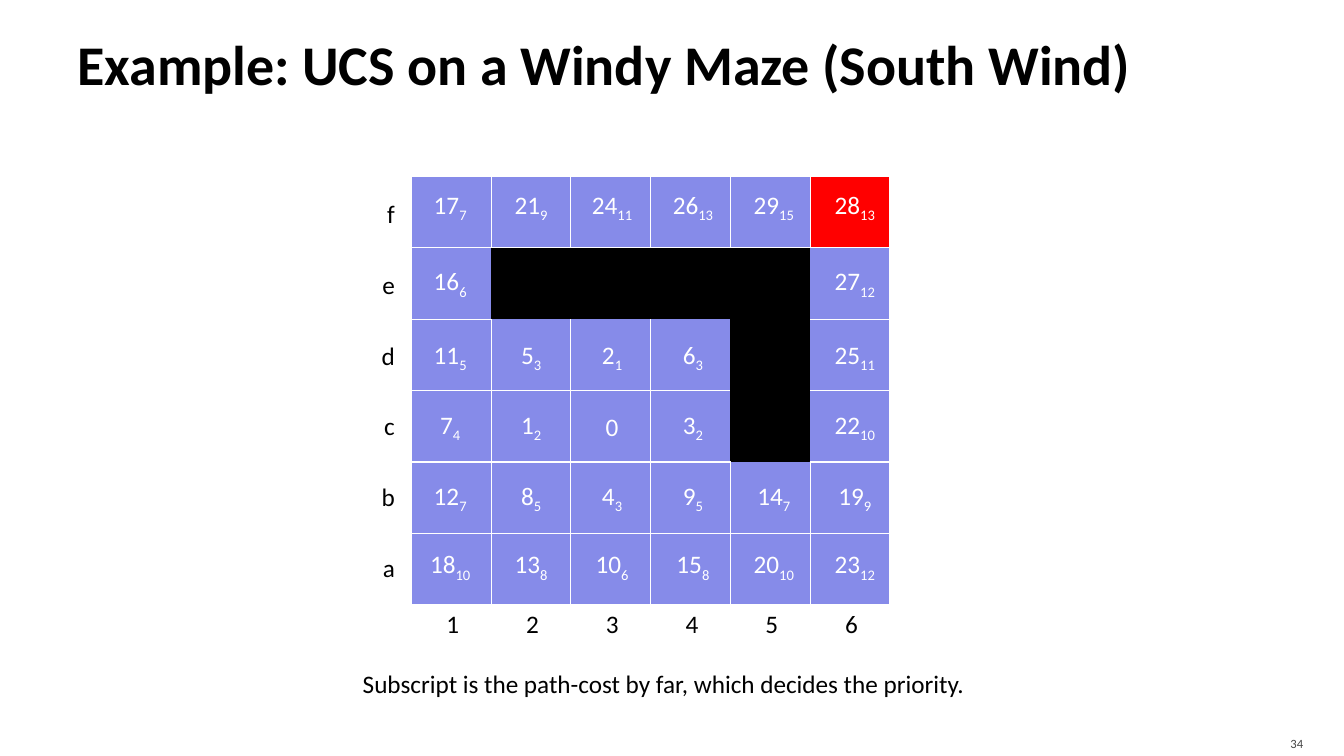
from dataclasses import dataclass

from lxml.etree import SubElement
from pptx import Presentation
from pptx.dml.color import RGBColor
from pptx.enum.shapes import MSO_SHAPE
from pptx.enum.text import MSO_ANCHOR, MSO_AUTO_SIZE, PP_ALIGN
from pptx.oxml.ns import qn
from pptx.util import Pt


@dataclass(frozen=True)
class Theme:
    font: str = "Calibri"
    ink: str = "000000"
    paper: str = "FFFFFF"
    open_cell: str = "868BE9"
    wall: str = "000000"
    goal: str = "FF0000"
    page_number: str = "454545"
    title_size: int = 40
    body_size: int = 18
    number_size: int = 9


THEME = Theme()
WALL = "#"
GOAL = (0, 5)
ROW_NAMES = "fedcba"
COLUMN_NAMES = "123456"
MAZE = [
    ["17_7", "21_9", "24_11", "26_13", "29_15", "28_13"],
    ["16_6", WALL, WALL, WALL, WALL, "27_12"],
    ["11_5", "5_3", "2_1", "6_3", WALL, "25_11"],
    ["7_4", "1_2", "0", "3_2", WALL, "22_10"],
    ["12_7", "8_5", "4_3", "9_5", "14_7", "19_9"],
    ["18_10", "13_8", "10_6", "15_8", "20_10", "23_12"],
]
MAZE_LEFT, MAZE_TOP = 293.8, 126
CELL_WIDTH, CELL_HEIGHT = 57, 51
STEP_SIZE = 30.2
STEP_LEFT, STEP_PITCH = 306.5, 57.8
STEP_TOPS = [132.2, 187, 239.3, 289.5, 340, 389]
LABEL_WIDTH, LABEL_HEIGHT = 24, 28.8
ROW_LABEL_TOP, ROW_LABEL_PITCH = 138.3, 50.5
NEIGHBOURS = {"a:lnL": (0, -1), "a:lnR": (0, 1), "a:lnT": (-1, 0), "a:lnB": (1, 0)}
PLAIN_TABLE_STYLE = "{2D5ABB26-0587-4C30-8999-92F81FD0307C}"


def style_run(run, size, color, bold=False):
    run.font.name = THEME.font
    run.font.size = Pt(size)
    run.font.bold = bold
    run.font.color.rgb = RGBColor.from_string(color)


def place(shape, left, top, width, height):
    shape.left, shape.top = Pt(left), Pt(top)
    shape.width, shape.height = Pt(width), Pt(height)


def add_title(page, text):
    title = page.shapes.title
    place(title, 48, 6, 864, 77.8)
    frame = title.text_frame
    frame.text = text
    frame.auto_size = MSO_AUTO_SIZE.NONE
    frame.vertical_anchor = MSO_ANCHOR.MIDDLE
    frame.margin_left = Pt(7.2)
    frame.margin_right = Pt(3.6)
    para = frame.paragraphs[0]
    para.alignment = PP_ALIGN.LEFT
    style_run(para.runs[0], THEME.title_size, THEME.ink, bold=True)


def add_text(page, text, bounds, align, margin=0, size=THEME.body_size, color=THEME.ink):
    box = page.shapes.add_textbox(*[Pt(length) for length in bounds])
    frame = box.text_frame
    frame.text = text
    frame.word_wrap = True
    frame.margin_left = frame.margin_right = Pt(margin)
    para = frame.paragraphs[0]
    para.alignment = align
    style_run(para.runs[0], size, color)
    return box


def is_wall(row, column):
    inside = 0 <= row < len(MAZE) and 0 <= column < len(MAZE[0])
    return inside and MAZE[row][column] == WALL


def add_borders(cell, row, column):
    properties = cell._tc.get_or_add_tcPr()
    for position, (tag, (down, across)) in enumerate(NEIGHBOURS.items()):
        other = row + down
        touches_wall = is_wall(row, column) or is_wall(other, column + across)
        below_top_row = {row, other} == {0, 1}
        line = SubElement(properties, qn(tag), w=str(Pt(1)))
        properties.insert(position, line)
        if touches_wall and not below_top_row:
            SubElement(line, qn("a:noFill"))
        else:
            fill = SubElement(line, qn("a:solidFill"))
            SubElement(fill, qn("a:srgbClr"), val=THEME.paper)


def cell_color(row, column):
    if (row, column) == GOAL:
        return THEME.goal
    return THEME.wall if is_wall(row, column) else THEME.open_cell


def add_maze(page):
    rows, columns = len(MAZE), len(MAZE[0])
    frame = page.shapes.add_table(
        rows, columns, Pt(MAZE_LEFT), Pt(MAZE_TOP),
        Pt(columns * CELL_WIDTH), Pt(rows * CELL_HEIGHT),
    )
    table = frame.table
    table.first_row = table.horz_banding = False
    table._tbl.tblPr.find(qn("a:tableStyleId")).text = PLAIN_TABLE_STYLE
    for row in range(rows):
        for column in range(columns):
            cell = table.cell(row, column)
            cell.fill.solid()
            cell.fill.fore_color.rgb = RGBColor.from_string(cell_color(row, column))
            add_borders(cell, row, column)


def add_step(page, text, left, top):
    step = page.shapes.add_shape(
        MSO_SHAPE.OVAL, Pt(left), Pt(top), Pt(STEP_SIZE), Pt(STEP_SIZE)
    )
    step.shadow.inherit = False
    step.fill.background()
    step.line.fill.background()
    frame = step.text_frame
    frame.word_wrap = False
    frame.vertical_anchor = MSO_ANCHOR.MIDDLE
    frame.margin_left = frame.margin_right = Pt(0)
    frame.margin_top = frame.margin_bottom = Pt(0)
    para = frame.paragraphs[0]
    para.alignment = PP_ALIGN.CENTER
    order, _, cost = text.partition("_")
    para.text = order
    if cost:
        subscript = para.add_run()
        subscript.text = cost
        subscript._r.get_or_add_rPr().set("baseline", "-25000")
    for run in para.runs:
        style_run(run, THEME.body_size, THEME.paper)


def add_steps(page):
    for top, cells in zip(STEP_TOPS, MAZE):
        for column, text in enumerate(cells):
            if text != WALL:
                add_step(page, text, STEP_LEFT + column * STEP_PITCH, top)


def add_axis_labels(page):
    for row, name in enumerate(ROW_NAMES):
        top = ROW_LABEL_TOP + row * ROW_LABEL_PITCH
        bounds = (258, top, LABEL_WIDTH, LABEL_HEIGHT)
        add_text(page, name, bounds, PP_ALIGN.RIGHT)
    for column, name in enumerate(COLUMN_NAMES):
        left = MAZE_LEFT + (column + 0.5) * CELL_WIDTH + 1 - LABEL_WIDTH / 2
        bounds = (left, 431.3, LABEL_WIDTH, LABEL_HEIGHT)
        add_text(page, name, bounds, PP_ALIGN.CENTER)


def add_page_number(page, text):
    box = add_text(page, text, (861, 518.4, 77, 21.6), PP_ALIGN.RIGHT,
                   7.2, THEME.number_size, THEME.page_number)
    box.text_frame.margin_bottom = Pt(0)
    box.text_frame.vertical_anchor = MSO_ANCHOR.MIDDLE


def main():
    deck = Presentation()
    deck.slide_width, deck.slide_height = Pt(960), Pt(540)
    page = deck.slides.add_slide(deck.slide_layouts.get_by_name("Title Only"))
    add_title(page, "Example: UCS on a Windy Maze (South Wind)")
    add_maze(page)
    add_steps(page)
    add_axis_labels(page)
    add_text(page, "Subscript is the path-cost by far, which decides the priority.",
             (252, 473.8, 470, 28.8), PP_ALIGN.LEFT, 7.2)
    add_page_number(page, "34")
    deck.save("out.pptx")


if __name__ == "__main__":
    main()
